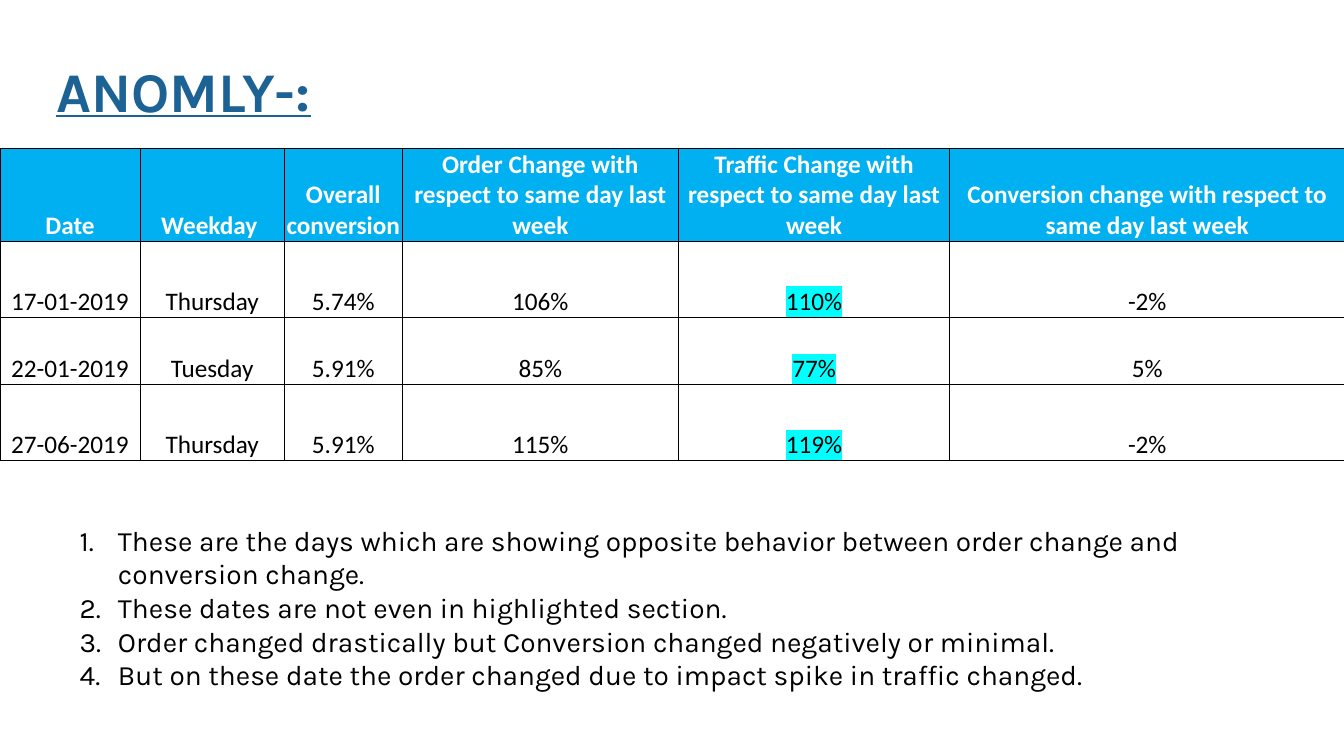
from dataclasses import dataclass

from lxml import etree
from pptx import Presentation
from pptx import util as u
from pptx.dml import color
from pptx.enum import text
from pptx.oxml import ns


@dataclass(frozen=True)
class Theme:
    """Colours, fonts and type sizes of the slide."""
    heading: str = "1D6294"
    header_fill: str = "00B0F0"
    header_text: str = "FFFFFF"
    ink: str = "000000"
    highlight: str = "00FFFF"
    text_font: str = "Karla"
    table_font: str = "Calibri"
    heading_size: int = 40
    findings_size: int = 20
    table_size: int = 18
    border_width: float = 0.5


THEME = Theme()

HEADERS = (
    "Date",
    "Weekday ",
    "Overall conversion",
    "Order Change with respect to same day last week",
    "Traffic Change with respect to same day last week",
    "Conversion change with respect to same day last week",
)
ANOMALIES = (
    ("17-01-2019", "Thursday", "5.74%", "106%", "110%", "-2%"),
    ("22-01-2019", "Tuesday", "5.91%", "85%", "77%", "5%"),
    ("27-06-2019", "Thursday", "5.91%", "115%", "119%", "-2%"),
)
TRAFFIC_COLUMN = 4
COLUMN_WIDTHS = (1.39, 1.43, 1.17, 2.74, 2.69, 3.92)
ROW_HEIGHTS = (0.92, 0.75, 0.67, 0.75)
FINDINGS = (
    "These are the days which are showing opposite behavior between order change and conversion change.",
    "These dates are not even in highlighted section.",
    "Order changed drastically but Conversion changed negatively or minimal.",
    "But on these date the order changed due to impact spike in traffic changed.",
)


def apply(target, formats):
    """Set each named format value on the target."""
    for name, value in formats.items():
        setattr(target, name, value)


def style_run(run, ink, **formats):
    """Give a run its colour and font values."""
    apply(run.font, formats)
    run.font.color.rgb = color.RGBColor.from_string(ink)


def place(placeholder, box):
    """Move a placeholder to its box and settle its text frame."""
    sides = ("left", "top", "width", "height")
    apply(placeholder, dict(zip(sides, map(u.Inches, box))))
    apply(placeholder.text_frame, {
        "word_wrap": True,
        "auto_size": text.MSO_AUTO_SIZE.NONE,
        "vertical_anchor": text.MSO_ANCHOR.TOP,
    })


def add_heading(slide, box):
    """Fill the title placeholder with the underlined heading."""
    heading = slide.shapes.title
    place(heading, box)
    line = heading.text_frame.paragraphs[0]
    line.alignment = text.PP_ALIGN.LEFT
    run = line.add_run()
    run.text = "ANOMLY-:"
    style_run(run, THEME.heading, name=THEME.text_font,
              size=u.Pt(THEME.heading_size), bold=True, underline=True)


def add_colour(parent, tag, rgb):
    """Append an element holding one RGB colour."""
    holder = etree.SubElement(parent, ns.qn(tag))
    etree.SubElement(holder, ns.qn("a:srgbClr"), val=rgb)
    return holder


def add_borders(cell):
    """Draw a thin line on all four sides of a cell."""
    properties = cell._tc.get_or_add_tcPr()
    for order, side in enumerate("LRTB"):
        border = etree.Element(ns.qn(f"a:ln{side}"),
                               w=str(u.Pt(THEME.border_width)))
        add_colour(border, "a:solidFill", THEME.ink)
        properties.insert(order, border)


def fill_cell(cell, wording, is_header, is_highlighted):
    """Write and format one cell of the anomaly table."""
    apply(cell, {
        "vertical_anchor": text.MSO_ANCHOR.BOTTOM,
        "margin_left": u.Inches(0.01),
        "margin_right": u.Inches(0.01),
        "margin_top": u.Inches(0.01),
        "margin_bottom": 0,
    })
    if is_header:
        cell.fill.solid()
        cell.fill.fore_color.rgb = color.RGBColor.from_string(THEME.header_fill)
    else:
        cell.fill.background()
    add_borders(cell)
    line = cell.text_frame.paragraphs[0]
    line.alignment = text.PP_ALIGN.CENTER
    run = line.add_run()
    run.text = wording
    style_run(run, THEME.header_text if is_header else THEME.ink,
              name=THEME.table_font, size=u.Pt(THEME.table_size), bold=is_header)
    if is_highlighted:
        properties = run._r.get_or_add_rPr()
        mark = add_colour(properties, "a:highlight", THEME.highlight)
        properties.find(ns.qn("a:solidFill")).addnext(mark)


def add_anomaly_table(slide, box):
    """Build the table of anomalous dates inside its box."""
    rows = (HEADERS, *ANOMALIES)
    table = slide.shapes.add_table(
        len(rows), len(HEADERS), *map(u.Inches, box)).table
    apply(table, {"first_row": False, "horz_banding": False})
    for column, width in zip(table.columns, COLUMN_WIDTHS):
        column.width = u.Inches(width)
    for row, height in zip(table.rows, ROW_HEIGHTS):
        row.height = u.Inches(height)
    for r, values in enumerate(rows):
        for c, wording in enumerate(values):
            fill_cell(table.cell(r, c), wording, r == 0,
                      r > 0 and c == TRAFFIC_COLUMN)


def add_findings(slide, box):
    """Fill the body placeholder with the numbered findings."""
    findings = slide.placeholders[1]
    place(findings, box)
    frame = findings.text_frame
    for order, wording in enumerate(FINDINGS):
        line = frame.add_paragraph() if order else frame.paragraphs[0]
        apply(line, {"space_before": u.Pt(0), "space_after": u.Pt(0)})
        run = line.add_run()
        run.text = wording
        style_run(run, THEME.ink, name=THEME.text_font,
                  size=u.Pt(THEME.findings_size))
        properties = line._p.get_or_add_pPr()
        indent = u.Inches(0.38)
        properties.set("marL", str(indent))
        properties.set("indent", str(-indent))
        etree.SubElement(properties, ns.qn("a:buFont"), typeface=THEME.text_font)
        etree.SubElement(properties, ns.qn("a:buAutoNum"), type="arabicPeriod")


def main():
    """Build and save the anomaly slide."""
    deck = Presentation()
    apply(deck, {"slide_width": u.Inches(13.33), "slide_height": u.Inches(7.5)})
    slide = deck.slides.add_slide(deck.slide_layouts[1])
    add_anomaly_table(slide, (0, 1.47, 13.33, 3.07))
    add_heading(slide, (0.46, 0.51, 10.44, 0.77))
    add_findings(slide, (0.69, 5.14, 11.96, 1.78))
    deck.save("out.pptx")


if __name__ == "__main__":
    main()
